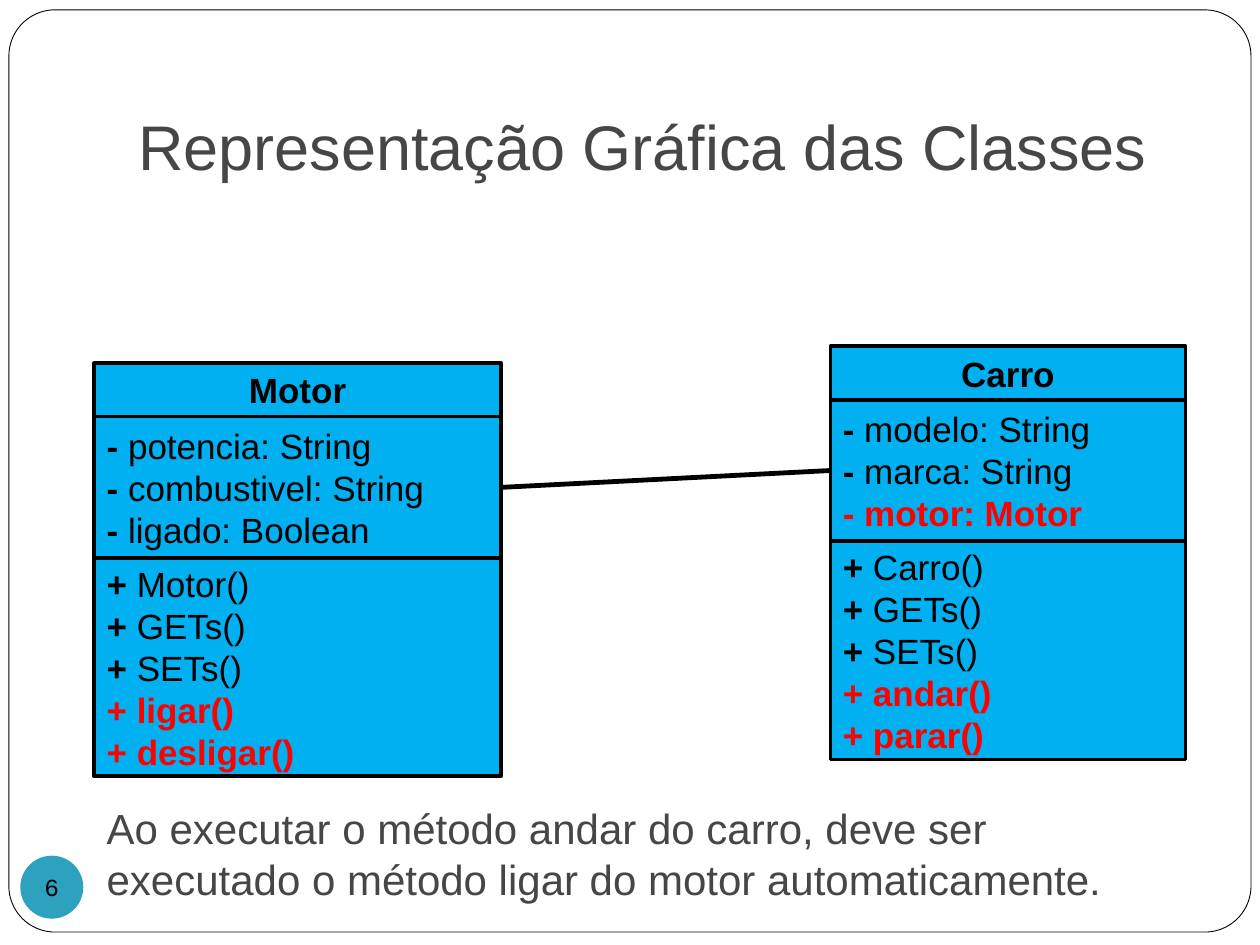
from dataclasses import dataclass

from lxml import etree
from pptx import Presentation
from pptx.dml.color import RGBColor
from pptx.enum.shapes import MSO_CONNECTOR, MSO_SHAPE
from pptx.enum.text import MSO_ANCHOR, MSO_AUTO_SIZE, PP_ALIGN
from pptx.oxml.ns import qn
from pptx.util import Cm, Pt

RECTANGLE, ROUNDED, OVAL = MSO_SHAPE.RECTANGLE, MSO_SHAPE.ROUNDED_RECTANGLE, MSO_SHAPE.OVAL
STRAIGHT = MSO_CONNECTOR.STRAIGHT
MIDDLE, BOTTOM = MSO_ANCHOR.MIDDLE, MSO_ANCHOR.BOTTOM
LEFT, CENTER = PP_ALIGN.LEFT, PP_ALIGN.CENTER
NO_AUTOFIT = MSO_AUTO_SIZE.NONE
LEFT_SITE, RIGHT_SITE = 1, 3


@dataclass(frozen=True)
class Theme:
    ink: RGBColor = RGBColor(0x00, 0x00, 0x00)
    paper: RGBColor = RGBColor(0xFF, 0xFF, 0xFF)
    heading: RGBColor = RGBColor(0x46, 0x46, 0x46)
    class_fill: RGBColor = RGBColor(0x00, 0xB0, 0xF0)
    highlight: RGBColor = RGBColor(0xFF, 0x00, 0x00)
    badge: RGBColor = RGBColor(0x2D, 0xA2, 0xBF)
    font: str = "Arial"
    number_font: str = "Courier New"
    title_size: float = 36
    caption_size: float = 24
    class_size: float = 20
    number_size: float = 14


THEME = Theme()


@dataclass(frozen=True)
class Run:
    text: str
    bold: bool = False
    color: RGBColor = THEME.ink


@dataclass(frozen=True)
class Member:
    sign: str
    text: str
    highlighted: bool = False

    def runs(self) -> list[Run]:
        if self.highlighted:
            return [Run(f"{self.sign} {self.text}", True, THEME.highlight)]
        return [Run(f"{self.sign} ", True), Run(self.text)]


@dataclass(frozen=True)
class UmlClass:
    name: str
    left: float
    top: float
    width: float
    attributes: list[Member]
    methods: list[Member]


# Compartment heights in cm: name, attributes, methods
COMPARTMENTS = (1.08, 2.85, 4.4)

CARRO = UmlClass(
    "Carro", 16.74, 6.98, 7.16,
    [Member("-", "modelo: String"), Member("-", "marca: String"),
     Member("-", "motor: Motor", True)],
    [Member("+", "Carro()"), Member("+", "GETs()"), Member("+", "SETs()"),
     Member("+", "andar()", True), Member("+", "parar()", True)],
)
MOTOR = UmlClass(
    "Motor", 1.9, 7.32, 8.2,
    [Member("-", "potencia: String"), Member("-", "combustivel: String"),
     Member("-", "ligado: Boolean")],
    [Member("+", "Motor()"), Member("+", "GETs()"), Member("+", "SETs()"),
     Member("+", "ligar()", True), Member("+", "desligar()", True)],
)


def write(shape, lines: list[list[Run]], *, size: float, font: str = THEME.font,
          align=LEFT, anchor=MIDDLE, wrap: bool = True,
          margins: tuple = (0.25, 0.13, 0.25, 0.13)) -> None:
    frame = shape.text_frame
    frame.auto_size = NO_AUTOFIT
    frame.word_wrap = wrap
    frame.vertical_anchor = anchor
    (frame.margin_left, frame.margin_top,
     frame.margin_right, frame.margin_bottom) = map(Cm, margins)
    for index, line in enumerate(lines):
        paragraph = frame.add_paragraph() if index else frame.paragraphs[0]
        paragraph.alignment = align
        for part in line:
            run = paragraph.add_run()
            run.text = part.text
            run.font.name, run.font.size, run.font.bold = font, Pt(size), part.bold
            run.font.color.rgb = part.color


def add_figure(slide, preset, box: tuple, fill: RGBColor, line_width: float = 0):
    shape = slide.shapes.add_shape(preset, *map(Cm, box))
    shape.shadow.inherit = False
    shape.fill.solid()
    shape.fill.fore_color.rgb = fill
    if line_width:
        shape.line.color.rgb = THEME.ink
        shape.line.width = Pt(line_width)
    else:
        shape.line.fill.background()
    return shape


def add_class(slide, uml: UmlClass):
    """Stack the three compartments and return the attributes one."""
    contents = ([[Run(uml.name, True)]],
                [member.runs() for member in uml.attributes],
                [member.runs() for member in uml.methods])
    compartments = []
    top = uml.top
    for height, lines in zip(COMPARTMENTS, contents):
        compartment = add_figure(slide, RECTANGLE, (uml.left, top, uml.width, height),
                                 THEME.class_fill, 2)
        write(compartment, lines, size=THEME.class_size,
              align=LEFT if compartments else CENTER)
        compartments.append(compartment)
        top += height
    return compartments[1]


def add_association(slide, source, target) -> None:
    association = slide.shapes.add_connector(STRAIGHT, 0, 0, 0, 0)
    association.begin_connect(source, RIGHT_SITE)
    association.end_connect(target, LEFT_SITE)
    association.line.color.rgb = THEME.ink
    association.line.width = Pt(2.75)
    etree.SubElement(association._element.spPr, qn("a:effectLst"))


def main() -> None:
    deck = Presentation()
    deck.slide_width, deck.slide_height = Cm(25.4), Cm(19.05)
    slide = deck.slides.add_slide(deck.slide_layouts[5])
    title = slide.shapes.title

    # Page border, kept behind the title
    border = add_figure(slide, ROUNDED, (0.18, 0.2, 25.04, 18.59), THEME.paper, 0.5)
    border.adjustments[0] = 0.05
    title._element.addprevious(border._element)

    # Title
    title.left, title.top, title.width, title.height = map(Cm, (2.54, 0.76, 21.59, 3.18))
    write(title, [[Run("Representação Gráfica das Classes", color=THEME.heading)]],
          size=THEME.title_size, anchor=BOTTOM, margins=(0.25, 0.13, 0.25, 0.25))

    # Page number
    badge = add_figure(slide, OVAL, (0.41, 17.25, 1.27, 1.27), THEME.badge)
    write(badge, [[Run("6")]], size=THEME.number_size, font=THEME.number_font,
          align=CENTER, wrap=False, margins=(0, 0, 0, 0))

    # Class diagram
    carro_attributes = add_class(slide, CARRO)
    motor_attributes = add_class(slide, MOTOR)
    add_association(slide, motor_attributes, carro_attributes)

    # Caption
    caption = slide.shapes.add_textbox(*map(Cm, (1.9, 15.29, 21.59, 3.18)))
    write(caption, [[Run("Ao executar o método andar do carro, deve ser executado "
                         "o método ligar do motor automaticamente.",
                         color=THEME.heading)]],
          size=THEME.caption_size, anchor=BOTTOM, margins=(0.25, 0.13, 0.25, 0.25))

    deck.save("out.pptx")


if __name__ == "__main__":
    main()
